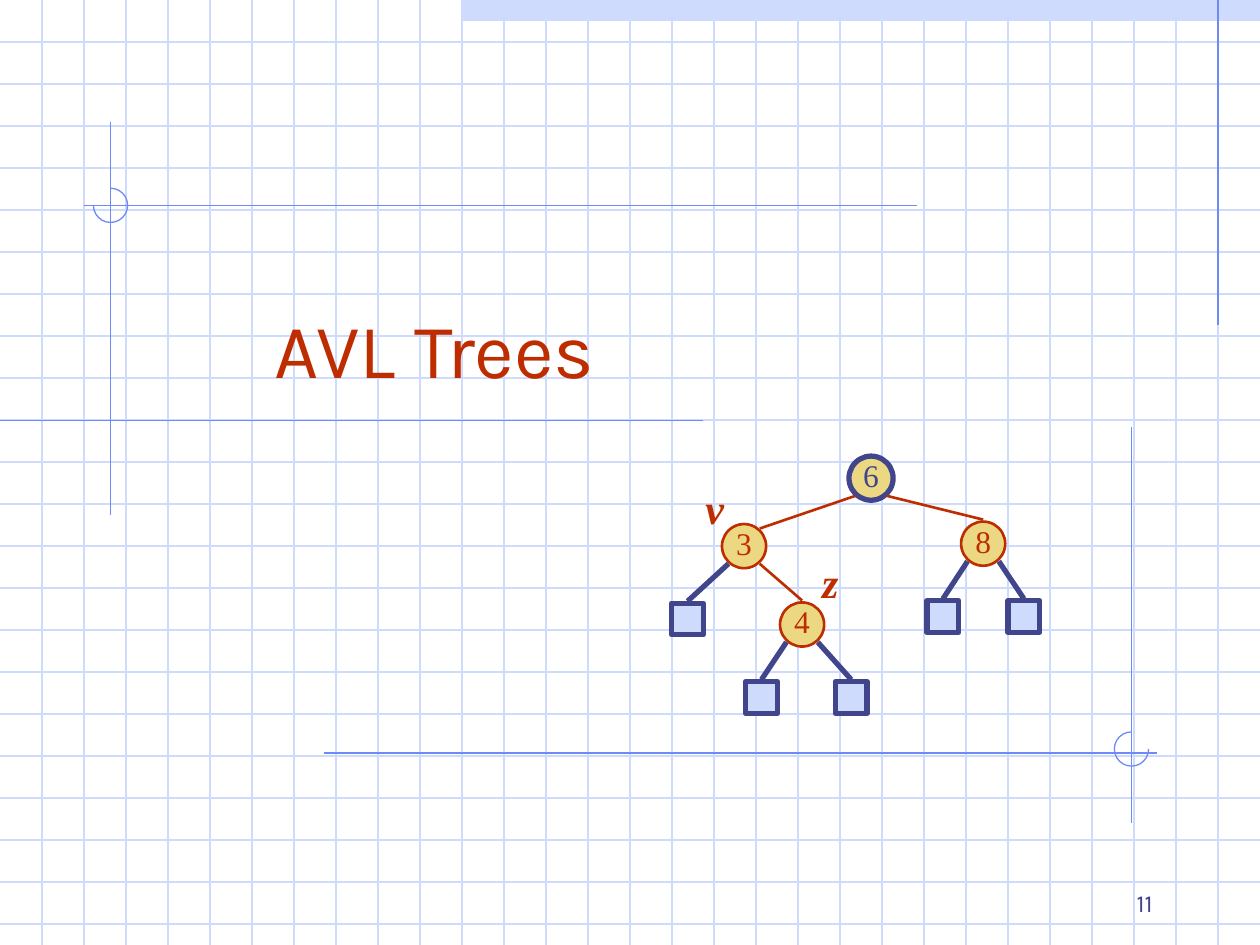
from dataclasses import dataclass
from typing import Optional

from lxml.etree import SubElement
from pptx import Presentation
from pptx.dml.color import RGBColor
from pptx.enum.shapes import MSO_CONNECTOR, MSO_SHAPE
from pptx.enum.text import MSO_ANCHOR, MSO_AUTO_SIZE, PP_ALIGN
from pptx.oxml.ns import qn
from pptx.util import Cm, Pt


@dataclass(frozen=True)
class Theme:
    grid: RGBColor = RGBColor(0xCF, 0xDB, 0xFD)
    rule: RGBColor = RGBColor(0x6F, 0x89, 0xF7)
    red: RGBColor = RGBColor(0xBE, 0x2D, 0x00)
    navy: RGBColor = RGBColor(0x40, 0x45, 0x8C)
    gold: RGBColor = RGBColor(0xEC, 0xD8, 0x82)
    sans: str = "Karla"
    serif: str = "Times New Roman"
    title_size: int = 44
    label_size: int = 24
    key_size: int = 18
    number_size: int = 14
    hairline: float = 0.75
    thin: float = 1.5
    thick: float = 3


@dataclass(frozen=True)
class Box:
    """A region, measured in centimetres."""
    left: float
    top: float
    width: float
    height: float


@dataclass(frozen=True)
class Node:
    """A tree node by its centre; a node without a key is a leaf."""
    x: float
    y: float
    key: str = ""
    left: Optional["Node"] = None
    right: Optional["Node"] = None
    color: RGBColor = Theme.red
    width: float = Theme.thin
    entry: float = 0  # where the edge arrives, as a share of the radius


THEME = Theme()
PAGE = Box(0, 0, 25.4, 19.05)
NODE_SIZE, LEAF_SIZE = 0.89, 0.64
DIAGONAL = 0.71

AVL_TREE = Node(
    4.02, 0.45, "6", color=THEME.navy, width=THEME.thick,
    left=Node(1.46, 1.82, "3", entry=DIAGONAL,
              left=Node(0.32, 3.29),
              right=Node(2.63, 3.4, "4",
                         left=Node(1.81, 4.87), right=Node(3.62, 4.87))),
    right=Node(6.28, 1.77, "8",
               left=Node(5.47, 3.24), right=Node(7.1, 3.24)))
NODE_LABELS = [("v", 0.86, 1.05), ("z", 3.2, 2.54)]


def add_line(shapes, start, end, color, width=THEME.hairline):
    line = shapes.add_connector(MSO_CONNECTOR.STRAIGHT, *map(Cm, (*start, *end)))
    line.line.color.rgb = color
    line.line.width = Pt(width)
    SubElement(line._element.spPr, qn("a:effectLst"))


def add_centred(shapes, kind, x, y, size, fill, outline, width):
    shape = shapes.add_shape(kind, Cm(x - size / 2), Cm(y - size / 2), Cm(size), Cm(size))
    shape.shadow.inherit = False
    if fill is None:
        shape.fill.background()
    else:
        shape.fill.solid()
        shape.fill.fore_color.rgb = fill
    shape.line.color.rgb = outline
    shape.line.width = Pt(width)
    return shape


def write(frame, text, font_name, size, color, align, anchor):
    frame.text = text
    frame.vertical_anchor = anchor
    paragraph = frame.paragraphs[0]
    paragraph.alignment = align
    font = paragraph.font
    font.name, font.size, font.color.rgb = font_name, Pt(size), color
    return font


def add_text_box(shapes, box):
    frame = shapes.add_textbox(*map(Cm, (box.left, box.top, box.width, box.height))).text_frame
    frame.word_wrap = True
    return frame


def draw_graph_paper(shapes, box, columns=30):
    pitch = box.width / columns
    right, bottom = box.left + box.width, box.top + box.height
    # Band along the top edge
    band_left = box.left + 11 * pitch
    band = shapes.add_shape(MSO_SHAPE.RECTANGLE, Cm(band_left), Cm(box.top),
                            Cm(right - band_left), Cm(pitch / 2))
    band.shadow.inherit = False
    band.fill.solid()
    band.fill.fore_color.rgb = THEME.grid
    band.line.fill.background()
    # Grid
    for row in range(1, int(box.height / pitch) + 1):
        y = box.top + row * pitch
        add_line(shapes, (box.left, y), (right, y), THEME.grid)
    for column in range(1, columns):
        x = box.left + column * pitch
        add_line(shapes, (x, box.top), (x, bottom), THEME.grid)
    # Darker rules at the right edge and under the title
    add_line(shapes, (right - pitch, box.top), (right - pitch, box.top + 6.55), THEME.rule)
    add_line(shapes, (box.left, box.top + 8.48), (box.left + 14.17, box.top + 8.48), THEME.rule)


def draw_crosshair(shapes, box, hub, arc_y, arc_angles):
    """Two crossing rules with a three-quarter arc around their hub."""
    x, y = box.left + hub[0], box.top + hub[1]
    add_line(shapes, (x, box.top), (x, box.top + box.height), THEME.rule)
    add_line(shapes, (box.left, y), (box.left + box.width, y), THEME.rule)
    arc = add_centred(shapes, MSO_SHAPE.ARC, x, box.top + arc_y, 0.69,
                      None, THEME.rule, THEME.hairline)
    for index, degrees in enumerate(arc_angles):
        arc.adjustments[index] = degrees * 0.6  # 60000 units a degree, scaled by 100000


def draw_title(title, box):
    title.left, title.top, title.width, title.height = map(
        Cm, (box.left, box.top, box.width, box.height))
    frame = title.text_frame
    write(frame, "AVL Trees", THEME.sans, THEME.title_size, THEME.red,
          PP_ALIGN.LEFT, MSO_ANCHOR.BOTTOM)
    frame.auto_size = MSO_AUTO_SIZE.NONE
    # Bring the title in front of the grid
    title._element.getparent().append(title._element)


def draw_subtree(shapes, box, node):
    x, y = box.left + node.x, box.top + node.y
    if not node.key:
        add_centred(shapes, MSO_SHAPE.RECTANGLE, x, y, LEAF_SIZE,
                    THEME.grid, THEME.navy, THEME.thick)
        return
    circle = add_centred(shapes, MSO_SHAPE.OVAL, x, y, NODE_SIZE,
                         THEME.gold, node.color, node.width)
    frame = circle.text_frame
    frame.margin_left = frame.margin_right = frame.margin_top = 0
    frame.margin_bottom = Cm(0.13)
    frame.word_wrap = False
    write(frame, node.key, THEME.serif, THEME.key_size, node.color,
          PP_ALIGN.CENTER, MSO_ANCHOR.MIDDLE)
    # Edges leave on the lower diagonals
    reach = DIAGONAL * NODE_SIZE / 2
    for side, child in ((-1, node.left), (1, node.right)):
        draw_subtree(shapes, box, child)
        radius = (NODE_SIZE if child.key else LEAF_SIZE) / 2
        rise = child.entry or 1
        end = (box.left + child.x - side * child.entry * radius,
               box.top + child.y - rise * radius - 0.04)
        color, width = (THEME.red, THEME.thin) if child.key else (THEME.navy, THEME.thick)
        add_line(shapes, (x + side * reach, y + reach + 0.04), end, color, width)


def draw_tree(shapes, box):
    draw_subtree(shapes, box, AVL_TREE)
    for text, x, y in NODE_LABELS:
        width, height = 0.86, 1.27
        frame = add_text_box(shapes, Box(box.left + x - width / 2, box.top + y - height / 2,
                                         width, height))
        font = write(frame, text, THEME.serif, THEME.label_size, THEME.red,
                     PP_ALIGN.CENTER, MSO_ANCHOR.TOP)
        font.bold = font.italic = True


def draw_page_number(shapes, box):
    write(add_text_box(shapes, box), "11", THEME.sans, THEME.number_size, THEME.navy,
          PP_ALIGN.RIGHT, MSO_ANCHOR.BOTTOM)


def main():
    deck = Presentation()
    deck.slide_width, deck.slide_height = Cm(PAGE.width), Cm(PAGE.height)
    slide = deck.slides.add_slide(deck.slide_layouts[5])
    shapes = slide.shapes
    draw_graph_paper(shapes, PAGE)
    draw_crosshair(shapes, Box(1.7, 2.46, 16.79, 7.92), (0.53, 1.68), 1.68, (270, 180))
    draw_crosshair(shapes, Box(6.53, 8.61, 16.79, 7.98), (16.28, 6.57), 6.49, (0, 270))
    draw_title(shapes.title, Box(5.28, 4.88, 9.73, 3.18))
    draw_tree(shapes, Box(13.54, 9.19, 7.42, 5.19))
    draw_page_number(shapes, Box(18.21, 17.35, 5.28, 1.27))
    deck.save("out.pptx")


if __name__ == "__main__":
    main()
